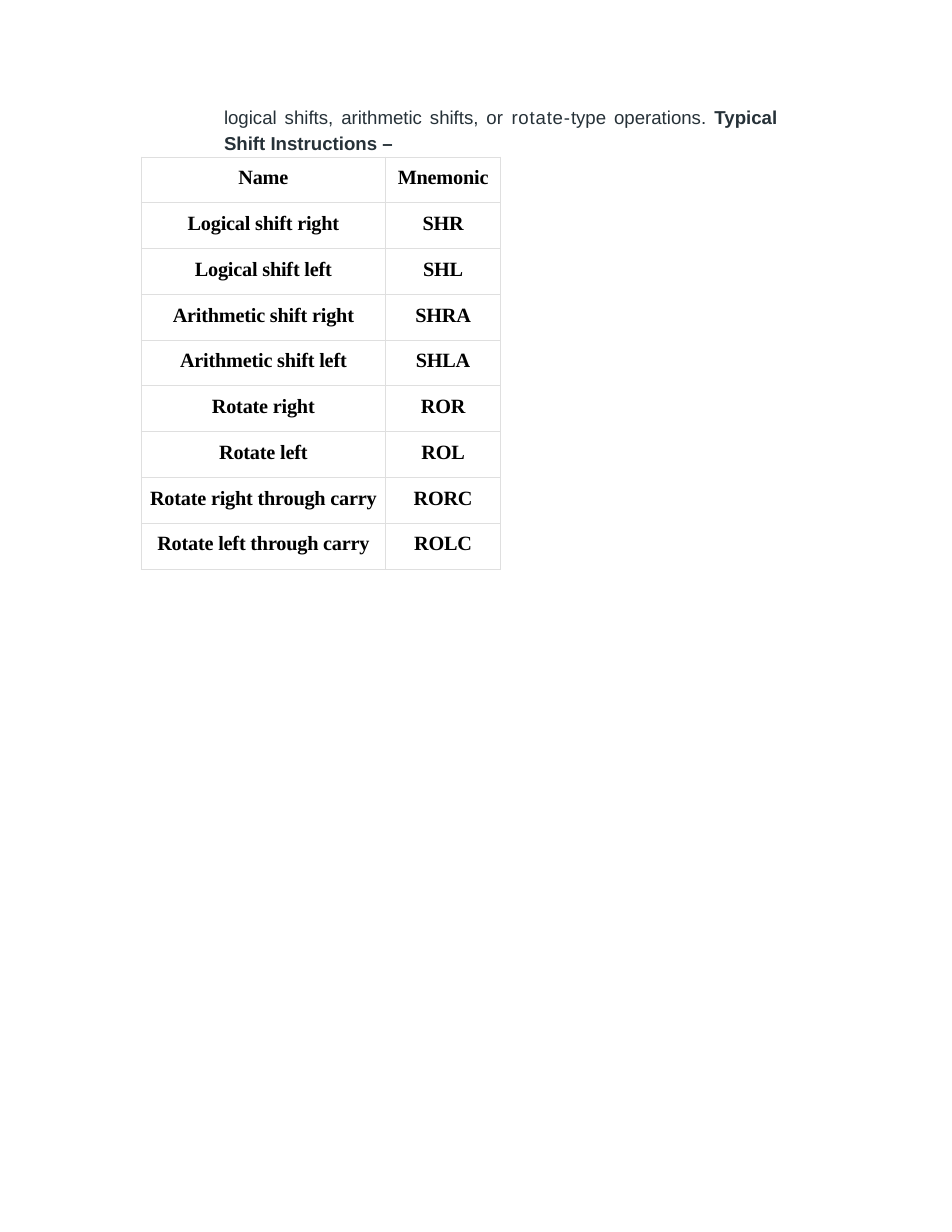
from lxml import etree
from pptx import Presentation
from pptx.dml.color import RGBColor
from pptx.enum.text import MSO_ANCHOR, PP_ALIGN
from pptx.oxml.ns import qn
from pptx.util import Inches, Pt

CENTER, JUSTIFY = PP_ALIGN.CENTER, PP_ALIGN.JUSTIFY
TOP = MSO_ANCHOR.TOP
COLORS = {"body": "263138", "table": "000000", "border": "DFDFDF"}
BLANK_LAYOUT = 6

INTRO = [
    ("logical shifts, arithmetic shifts, or ", False, 0),
    ("rotate-", False, 0.5),
    ("type operations. ", False, 0),
    ("Typical Shift Instructions –", True, 0),
]
INSTRUCTIONS = [
    ("Name", "Mnemonic"),
    ("Logical shift right", "SHR"),
    ("Logical shift left", "SHL"),
    ("Arithmetic shift right", "SHRA"),
    ("Arithmetic shift left", "SHLA"),
    ("Rotate right", "ROR"),
    ("Rotate left", "ROL"),
    ("Rotate right through carry", "RORC"),
    ("Rotate left through carry", "ROLC"),
]
COLUMN_SHARES = (0.68, 0.32)


def set_font(font, name, size, color):
    font.name = name
    font.size = Pt(size)
    font.color.rgb = RGBColor.from_string(COLORS[color])


def add_span(para, text, bold, spacing):
    span = para.add_run()
    span.text = text
    span.font.bold = bold
    if spacing:
        span.font._element.set("spc", str(round(spacing * 100)))


def set_borders(cell, color, width):
    properties = cell._tc.get_or_add_tcPr()
    for position, side in enumerate(("lnL", "lnR", "lnT", "lnB")):
        line = etree.Element(qn(f"a:{side}"), w=str(Pt(width)))
        fill = etree.SubElement(line, qn("a:solidFill"))
        etree.SubElement(fill, qn("a:srgbClr"), val=COLORS[color])
        properties.insert(position, line)


def add_intro(page, left, top, width, height):
    frame = page.shapes.add_textbox(left, top, width, height).text_frame
    frame.word_wrap = True
    frame.margin_left = frame.margin_top = Inches(0.01)
    frame.margin_right = Inches(0.07)
    frame.margin_bottom = 0
    para = frame.paragraphs[0]
    para.alignment = JUSTIFY
    para.line_spacing = 1.17
    para.space_before = Pt(0.9)
    set_font(para.font, "Arial", 12, "body")
    for text, bold, spacing in INTRO:
        add_span(para, text, bold, spacing)


def fill_cell(cell, text):
    cell.fill.background()
    cell.margin_left = cell.margin_right = cell.margin_bottom = 0
    cell.margin_top = Inches(0.09)
    cell.vertical_anchor = TOP
    set_borders(cell, "border", 0.25)
    para = cell.text_frame.paragraphs[0]
    para.alignment = CENTER
    para.space_before = Pt(6.5)
    set_font(para.font, "Times New Roman", 13, "table")
    add_span(para, text, True, -0.1)


def add_instruction_table(page, left, top, width, height):
    table = page.shapes.add_table(
        len(INSTRUCTIONS), len(COLUMN_SHARES), left, top, width, height
    ).table
    table.first_row = table.horz_banding = False
    for column, share in zip(table.columns, COLUMN_SHARES):
        column.width = round(width * share)
    for row, entries in zip(table.rows, INSTRUCTIONS):
        for cell, text in zip(row.cells, entries):
            fill_cell(cell, text)


def main():
    deck = Presentation()
    deck.slide_width, deck.slide_height = Inches(8.5), Inches(11)
    page = deck.slides.add_slide(deck.slide_layouts[BLANK_LAYOUT])

    # Closing lines of the introduction
    add_intro(page, Inches(1.99), Inches(0.9), Inches(5.02), Inches(0.49))
    # Shift instructions and their mnemonics
    add_instruction_table(page, Inches(1.26), Inches(1.4), Inches(3.21), Inches(3.68))

    deck.save("out.pptx")


if __name__ == "__main__":
    main()
